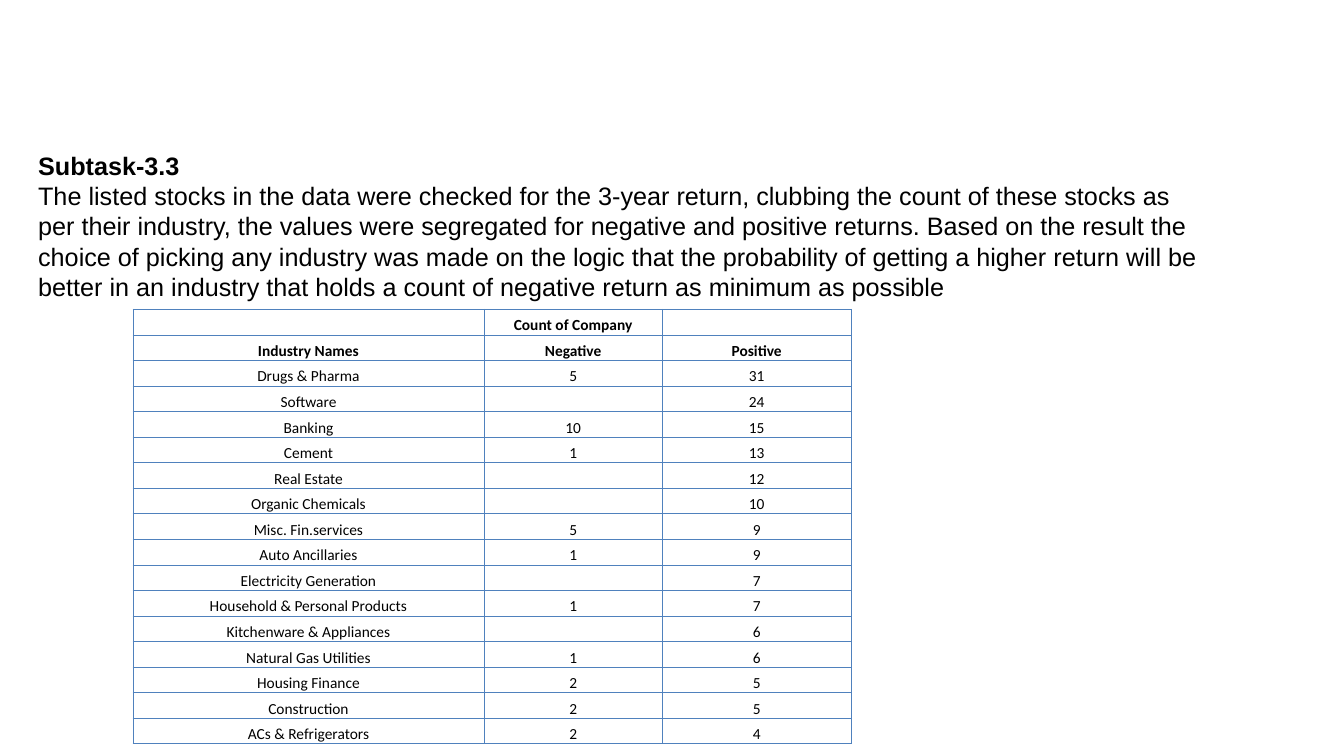
import dataclasses

import pptx
import pptx.dml.color
import pptx.enum.text
import pptx.oxml
import pptx.oxml.ns
import pptx.util


@dataclasses.dataclass(frozen=True)
class Theme:
    ink: str = "000000"
    rule: str = "4F81BD"
    body_font: str = "Arial"
    body_size: float = 18
    body_leading: float = 21.6
    table_font: str = "Calibri"
    table_size: float = 11
    rule_width: float = 0.75


class Deck:
    """Places elements on the current slide; lengths are percent of its size."""

    def __init__(self, theme):
        self.theme = theme
        self.prs = pptx.Presentation()
        self.prs.slide_width = pptx.util.Inches(13.33)
        self.prs.slide_height = pptx.util.Inches(7.5)
        self.slide = None

    def add_slide(self):
        self.slide = self.prs.slides.add_slide(self.prs.slide_layouts[6])

    def x(self, share):
        return round(self.prs.slide_width * share / 100)

    def y(self, share):
        return round(self.prs.slide_height * share / 100)

    def style(self, p, name, size, bold):
        p.font.name, p.font.size, p.font.bold = name, pptx.util.Pt(size), bold
        p.font.color.rgb = pptx.dml.color.RGBColor.from_string(self.theme.ink)

    def text(self, left, top, width, height, inset_top, heading, body):
        sp = self.slide.shapes.add_textbox(
            self.x(left), self.y(top), self.x(width), self.y(height))
        tf = sp.text_frame
        tf.word_wrap = True
        tf.margin_top = self.y(inset_top)
        tf.text = f"{heading}\n{body}"
        for i, p in enumerate(tf.paragraphs):
            self.style(p, self.theme.body_font, self.theme.body_size, i == 0)
            p.line_spacing = pptx.util.Pt(self.theme.body_leading)

    def table(self, left, top, widths, height, rows, header_rows):
        frame = self.slide.shapes.add_table(
            len(rows), len(widths), self.x(left), self.y(top),
            self.x(sum(widths)), self.y(height))
        tbl = frame.table
        tbl.first_row = tbl.horz_banding = False
        for col, width in zip(tbl.columns, widths):
            col.width = self.x(width)
        for i, (row, values) in enumerate(zip(tbl.rows, rows)):
            row.height = self.y(height / len(rows))
            for cell, value in zip(row.cells, values):
                self.cell(cell, value, i < header_rows)

    def cell(self, cell, value, bold):
        cell.margin_left = cell.margin_right = pptx.util.Inches(0.01)
        cell.margin_top, cell.margin_bottom = pptx.util.Inches(0.01), 0
        cell.vertical_anchor = pptx.enum.text.MSO_ANCHOR.BOTTOM
        cell.text = str(value)
        p = cell.text_frame.paragraphs[0]
        p.alignment = pptx.enum.text.PP_ALIGN.CENTER
        self.style(p, self.theme.table_font, self.theme.table_size, bold)
        if value == "":
            # An empty cell takes its line height from the end mark
            end = pptx.oxml.parse_xml(
                f'<a:endParaRPr {pptx.oxml.ns.nsdecls("a")} '
                f'sz="{self.theme.table_size * 100}"/>')
            p._p.append(end)
        self.borders(cell)
        cell.fill.background()

    def borders(self, cell):
        width = pptx.util.Pt(self.theme.rule_width)
        for side in ("lnL", "lnR", "lnT", "lnB"):
            cell._tc.get_or_add_tcPr().append(pptx.oxml.parse_xml(
                f'<a:{side} {pptx.oxml.ns.nsdecls("a")} w="{width}"><a:solidFill>'
                f'<a:srgbClr val="{self.theme.rule}"/></a:solidFill></a:{side}>'))


HEADING = "Subtask-3.3"
BODY = (
    "The listed stocks in the data were checked for the 3-year return, clubbing "
    "the count of these stocks as per their industry, the values were segregated "
    "for negative and positive returns. Based on the result the choice of picking "
    "any industry was made on the logic that the probability of getting a higher "
    "return will be better in an industry that holds a count of negative return "
    "as minimum as possible")
RETURNS = [
    ("", "Count of Company", ""),
    ("Industry Names", "Negative", "Positive"),
    ("Drugs & Pharma", 5, 31),
    ("Software", "", 24),
    ("Banking", 10, 15),
    ("Cement", 1, 13),
    ("Real Estate", "", 12),
    ("Organic Chemicals", "", 10),
    ("Misc. Fin.services", 5, 9),
    ("Auto Ancillaries", 1, 9),
    ("Electricity Generation", "", 7),
    ("Household & Personal Products", 1, 7),
    ("Kitchenware & Appliances", "", 6),
    ("Natural Gas Utilities", 1, 6),
    ("Housing Finance", 2, 5),
    ("Construction", 2, 5),
    ("ACs & Refrigerators", 2, 4),
]


def main():
    deck = Deck(Theme())
    deck.add_slide()
    # Explanation of the industry choice
    deck.text(2.1, 3.2, 88, 86.13, 16.67, HEADING, BODY)
    # Counts of negative and positive returns by industry
    deck.table(9.9, 40.93, (26.11, 13.28, 14.03), 57.47, RETURNS, header_rows=2)
    deck.prs.save("out.pptx")


if __name__ == "__main__":
    main()
